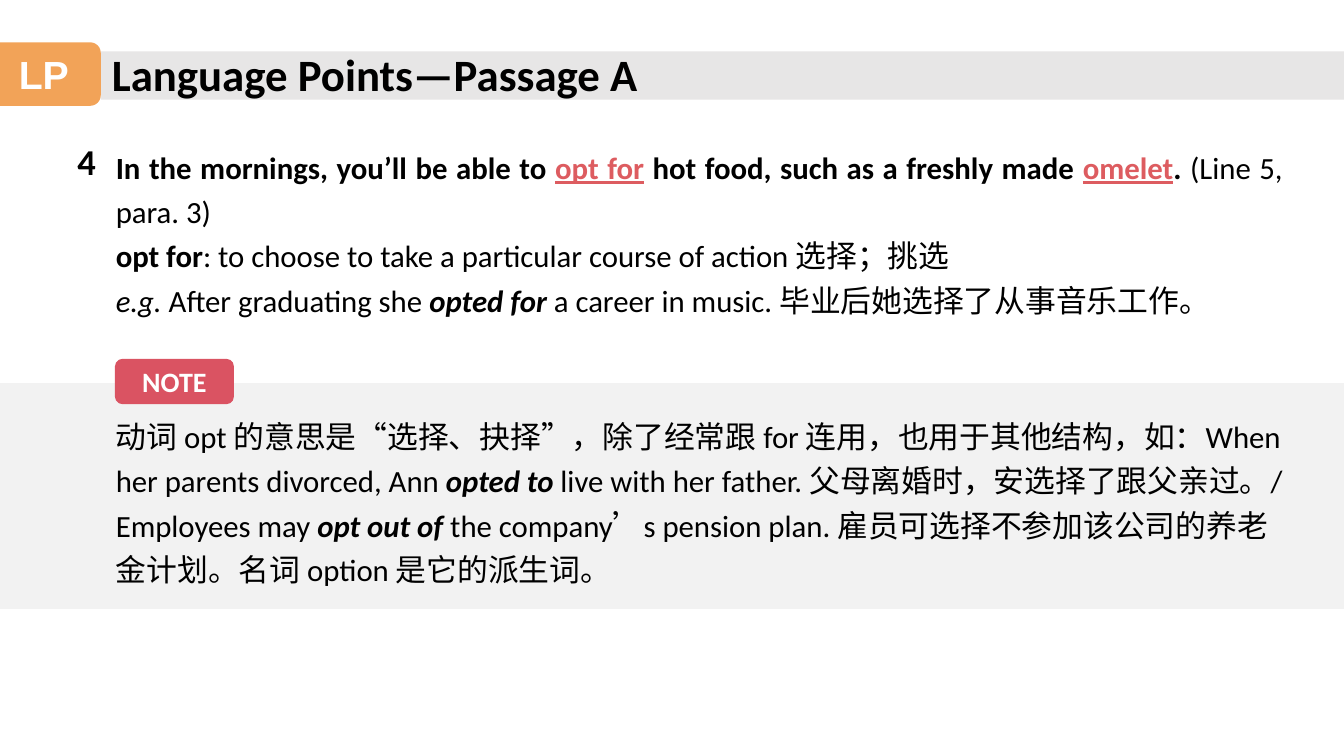
import pptx
import pptx.util
import pptx.dml.color
import pptx.enum.shapes
import pptx.enum.text

Inches = pptx.util.Inches
RGBColor = pptx.dml.color.RGBColor
Shape = pptx.enum.shapes.MSO_SHAPE
Align = pptx.enum.text.PP_ALIGN
Anchor = pptx.enum.text.MSO_ANCHOR

BLACK = RGBColor(0x00, 0x00, 0x00)
WHITE = RGBColor(0xFF, 0xFF, 0xFF)
ORANGE = RGBColor(0xF2, 0xA3, 0x58)
RED = RGBColor(0xDA, 0x53, 0x62)
KEYWORD_RED = RGBColor(0xDD, 0x5C, 0x60)
TITLE_GRAY = RGBColor(0xE7, 0xE6, 0xE6)
NOTE_GRAY = RGBColor(0xF2, 0xF2, 0xF2)

PLAIN = {}
BOLD = {"bold": True}
ITALIC = {"italic": True}
PHRASE = {"bold": True, "italic": True}
KEYWORD = {"bold": True, "underline": True, "color": KEYWORD_RED}

TITLE = "Language Points—Passage A"
EXPLANATION = [
    [
        ("In the mornings, you’ll be able to ", BOLD),
        ("opt for", KEYWORD),
        (" hot food, such as a freshly made ", BOLD),
        ("omelet", KEYWORD),
        (". ", BOLD),
        ("(Line 5, para. 3)", PLAIN),
    ],
    [
        ("opt for", BOLD),
        (": to choose to take a particular course of action 选择；挑选", PLAIN),
    ],
    [
        ("e.g. ", ITALIC),
        ("After graduating she ", PLAIN),
        ("opted for ", PHRASE),
        ("a career in music. 毕业后她选择了从事音乐工作。", PLAIN),
    ],
]
NOTE = [
    [
        ("动词 opt 的意思是“选择、抉择”，除了经常跟 for 连用，也用于其他结构，如：When her parents divorced, Ann ", PLAIN),
        ("opted to ", PHRASE),
        ("live with her father. 父母离婚时，安选择了跟父亲过。/ Employees may ", PLAIN),
        ("opt out of ", PHRASE),
        ("the company’s pension plan. 雇员可选择不参加该公司的养老金计划。名词 option 是它的派生词。", PLAIN),
    ],
]


def write(frame, paragraphs, size, align=Align.LEFT, spacing=1.0, font="Calibri", color=BLACK):
    frame.word_wrap = True
    for index, runs in enumerate(paragraphs):
        paragraph = frame.add_paragraph() if index else frame.paragraphs[0]
        paragraph.alignment = align
        paragraph.line_spacing = spacing
        for text, style in runs:
            run = paragraph.add_run()
            run.text = text
            run.font.name = font
            run.font.size = pptx.util.Pt(size)
            run.font.bold = style.get("bold", False)
            run.font.italic = style.get("italic", False)
            run.font.underline = style.get("underline", False)
            run.font.color.rgb = style.get("color", color)


def add_block(slide, kind, box, fill):
    shape = slide.shapes.add_shape(kind, *map(Inches, box))
    shape.shadow.inherit = False
    shape.fill.solid()
    shape.fill.fore_color.rgb = fill
    shape.line.fill.background()
    return shape


def add_badge(slide, box, fill, label, size, font):
    badge = add_block(slide, Shape.ROUNDED_RECTANGLE, box, fill)
    badge.text_frame.vertical_anchor = Anchor.MIDDLE
    write(badge.text_frame, [[(label, BOLD)]], size, Align.CENTER, font=font, color=WHITE)


def add_text(slide, box, paragraphs, size, **options):
    text_box = slide.shapes.add_textbox(*map(Inches, box))
    write(text_box.text_frame, paragraphs, size, **options)


def main():
    presentation = pptx.Presentation()
    presentation.slide_width = Inches(13.33)
    presentation.slide_height = Inches(7.5)
    slide = presentation.slides.add_slide(presentation.slide_layouts[5])

    add_block(slide, Shape.RECTANGLE, (0, 3.8, 13.33, 2.24), NOTE_GRAY)
    add_block(slide, Shape.RECTANGLE, (1, 0.51, 12.33, 0.48), TITLE_GRAY)
    add_badge(slide, (-0.13, 0.42, 1.13, 0.63), ORANGE, "LP", 28, "Arial")

    add_text(slide, (0.67, 1.33, 0.47, 0.54), [[("4", BOLD)]], 26)
    add_text(slide, (1.05, 1.35, 11.77, 1.84), EXPLANATION, 22, align=Align.JUSTIFY, spacing=1.2)
    add_text(slide, (1.05, 4.02, 11.84, 1.88), NOTE, 22, spacing=1.2)
    add_badge(slide, (1.14, 3.56, 1.18, 0.45), RED, "NOTE", 20, "Calibri")

    title = slide.shapes.title
    title.left, title.top, title.width, title.height = map(Inches, (1.01, 0.41, 5.78, 0.64))
    title.text_frame.auto_size = pptx.enum.text.MSO_AUTO_SIZE.NONE
    title.text_frame.vertical_anchor = Anchor.TOP
    write(title.text_frame, [[(TITLE, BOLD)]], 32)
    title.element.getparent().append(title.element)

    presentation.save("out.pptx")


if __name__ == "__main__":
    main()
